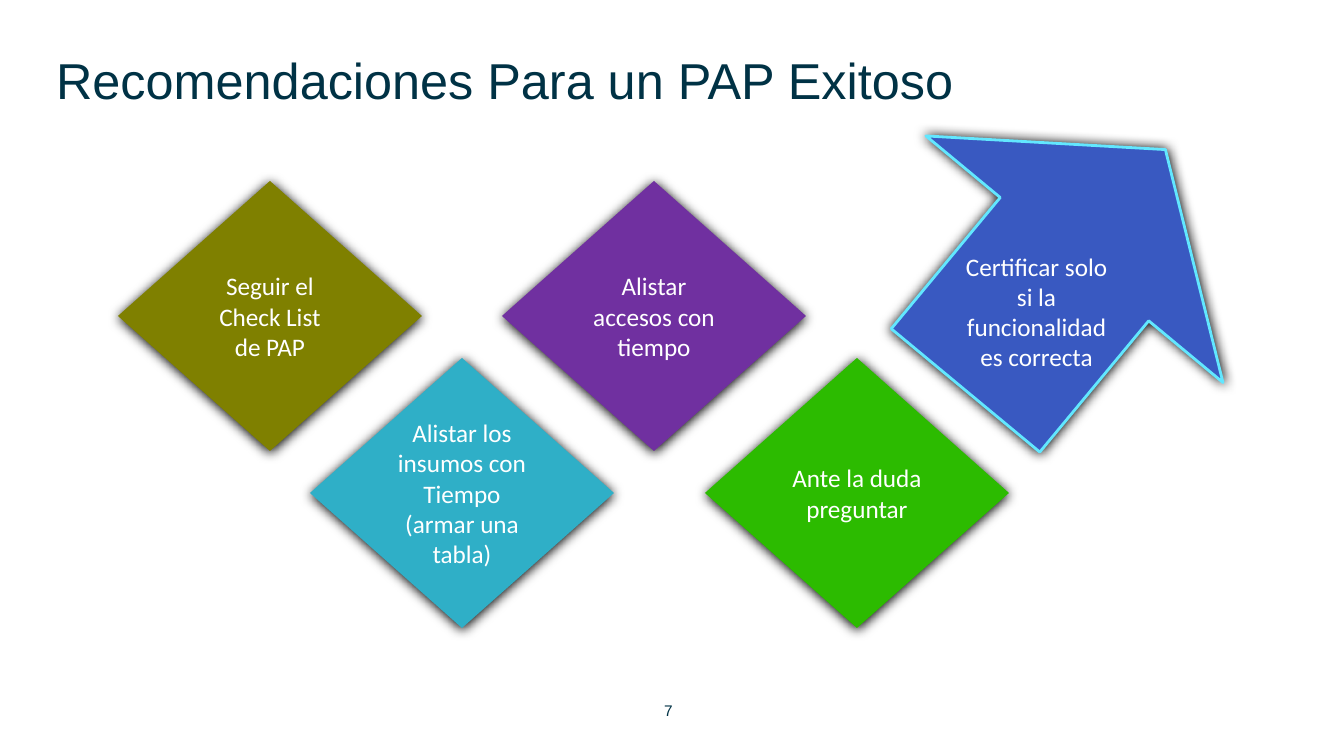
import pptx
import pptx.dml.color
import pptx.enum.shapes
import pptx.enum.text
import pptx.oxml
import pptx.oxml.ns
import pptx.util

SCALE = 914400 / 100.8
KIND = pptx.enum.shapes.MSO_SHAPE
ALIGN = pptx.enum.text.PP_ALIGN
MIDDLE = pptx.enum.text.MSO_ANCHOR.MIDDLE
INK = "003245"
WHITE = "FFFFFF"


def emu(*lengths):
    """Turn pixel lengths into EMU."""
    return [round(n * SCALE) for n in lengths]


def color(code):
    """Turn a hex string into a colour."""
    return pptx.dml.color.RGBColor.from_string(code)


def apply(target, values):
    """Set each attribute named in a dict."""
    for name, value in values.items():
        setattr(target, name, value)


class Deck:
    """Holds the style and the current slide."""

    head = {"name": "Arial", "size": pptx.util.Pt(36), "bold": False}
    label = {"name": "Calibri", "size": pptx.util.Pt(18)}
    small = {"name": "Arial", "size": pptx.util.Pt(11)}

    def __init__(self, width, height):
        """Open a deck with one title-only slide."""
        self.show = pptx.Presentation()
        size = emu(width, height)
        apply(self.show, dict(zip(("slide_width", "slide_height"), size)))
        self.slide = self.show.slides.add_slide(self.show.slide_layouts[5])

    def letter(self, shape, text, font, code, align, **frame):
        """Put styled text in a shape."""
        body = shape.text_frame
        apply(body, {"word_wrap": True, **frame})
        body.text = text
        para = body.paragraphs[0]
        para.alignment = align
        apply(para.font, font)
        para.font.color.rgb = color(code)

    def title(self, box, text):
        """Place and fill the title."""
        shape = self.slide.shapes.title
        apply(shape, dict(zip(("left", "top", "width", "height"), emu(*box))))
        self.letter(shape, text, self.head, INK, ALIGN.LEFT,
                    vertical_anchor=MIDDLE)

    def text(self, box, text, font, code, align, **frame):
        """Add a text box."""
        shape = self.slide.shapes.add_textbox(*emu(*box))
        self.letter(shape, text, font, code, align, **frame)

    def shade(self, shape, drop):
        """Give a shape a soft black shadow, drop points below it."""
        shape.shadow.inherit = False
        glow = shape.element.spPr.find(pptx.oxml.ns.qn("a:effectLst"))
        glow.append(pptx.oxml.parse_xml(
            f'<a:outerShdw {pptx.oxml.ns.nsdecls("a")} '
            f'blurRad="{pptx.util.Pt(8.5)}" dist="{pptx.util.Pt(drop)}" '
            'dir="5400000" algn="ctr" rotWithShape="0">'
            '<a:srgbClr val="000000"/></a:outerShdw>'))

    def shape(self, kind, box, fill, drop=1, line=None):
        """Add a filled shape with a shadow."""
        shape = self.slide.shapes.add_shape(kind, *emu(*box))
        shape.fill.solid()
        shape.fill.fore_color.rgb = color(fill)
        if line:
            shape.line.color.rgb = color(line)
            shape.line.width = pptx.util.Pt(2)
        else:
            shape.line.fill.background()
        self.shade(shape, drop)
        return shape

    def diamond(self, left, top, fill, text):
        """Add a labelled diamond."""
        shape = self.shape(KIND.DIAMOND, (left, top, 304, 270), fill)
        self.letter(shape, text, self.label, WHITE, ALIGN.CENTER,
                    vertical_anchor=MIDDLE)

    def arrow(self, box, turn, fill, line):
        """Add a turned block arrow."""
        shape = self.shape(KIND.RIGHT_ARROW, box, fill, 0, line)
        shape.rotation = turn
        shape.adjustments[0] = 0.5
        shape.adjustments[1] = 0.455


HIGH, LOW = 181, 358
STEPS = [
    (118, HIGH, "7F8000", "Seguir el Check List de PAP"),
    (310, LOW, "2FAFC7", "Alistar los insumos con Tiempo (armar una tabla)"),
    (502, HIGH, "7030A0", "Alistar accesos con tiempo"),
    (705, LOW, "2CBB00", "Ante la duda preguntar"),
]

deck = Deck(1344, 756)
deck.title((46, 33, 1264, 92), "Recomendaciones Para un PAP Exitoso")
deck.arrow((909, 77, 313, 386), 309.7, "3959C1", "62E7FF")
for step in STEPS:
    deck.diamond(*step)
deck.text((952, 246, 169, 132), "Certificar solo si la funcionalidad es correcta",
          deck.label, WHITE, ALIGN.CENTER)
bare = dict.fromkeys(
    ("margin_left", "margin_top", "margin_right", "margin_bottom"), 0)
deck.text((664, 701, 31, 19), "7", deck.small, INK, ALIGN.LEFT, **bare)
deck.show.save("out.pptx")
